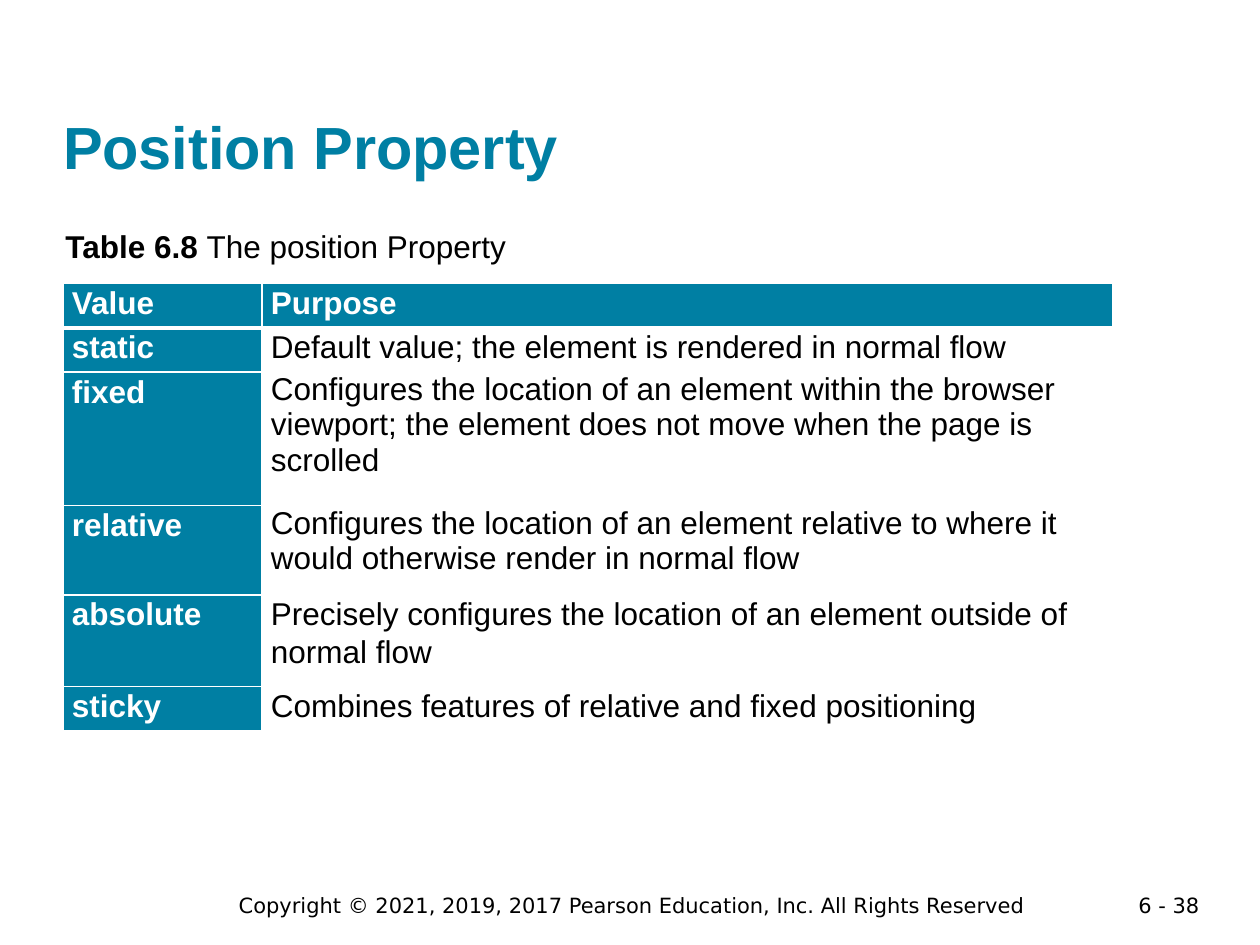
from typing import NamedTuple

from lxml.etree import SubElement
from pptx import Presentation
from pptx.dml.color import RGBColor
from pptx.enum.text import MSO_ANCHOR as Anchor, MSO_AUTO_SIZE as Fit, PP_ALIGN as Align
from pptx.oxml.ns import qn
from pptx.util import Cm, Pt

TEAL = RGBColor(0x00, 0x7F, 0xA3)
BLACK = RGBColor(0x00, 0x00, 0x00)
WHITE = RGBColor(0xFF, 0xFF, 0xFF)

HEAD = {"name": "Arial", "size": Pt(34), "bold": True}
BODY = {"name": "Arial", "size": Pt(18), "bold": False}
BOLD = BODY | {"bold": True}
FOOT = {"name": "DejaVu Sans", "size": Pt(12), "bold": False}
LOOSE = 1.07


class Note(NamedTuple):
    """A text box: place in cm, alignment and (text, format) runs."""
    box: tuple
    align: Align
    runs: list


class Row(NamedTuple):
    value: str
    purpose: str
    height: float
    spacing: float = LOOSE


NOTES = [
    Note((21.89, 17.86, 2.54, 0.56), Align.RIGHT, [("6 - 38", FOOT)]),
    Note((4.17, 17.86, 17.14, 0.76), Align.CENTER,
         [("Copyright © 2021, 2019, 2017 Pearson Education, Inc. All Rights Reserved", FOOT)]),
    Note((1.07, 4.45, 10.16, 1.02), Align.LEFT,
         [("Table 6.8 ", BOLD), ("The position Property", BODY)]),
]
ROWS = [
    Row("Value", "Purpose", 0.89),
    Row("static", "Default value; the element is rendered in normal flow", 0.89),
    Row("fixed", "Configures the location of an element within the browser viewport; "
        "the element does not move when the page is scrolled", 2.69, 1.0),
    Row("relative", "Configures the location of an element relative to where it would "
        "otherwise render in normal flow", 1.8, 1.0),
    Row("absolute", "Precisely configures the location of an element outside of normal flow", 1.85),
    Row("sticky", "Combines features of relative and fixed positioning", 0.89),
]
WIDTHS = (4.01, 17.15)


def style(font, look: dict, color: RGBColor) -> None:
    for key, val in look.items():
        setattr(font, key, val)
    font.color.rgb = color


def add_title(slide, text: str) -> None:
    title = slide.shapes.title
    title.left, title.top, title.width, title.height = map(Cm, (1.27, 0.61, 22.86, 3.05))
    frame = title.text_frame
    frame.text = text
    frame.auto_size = Fit.NONE
    frame.vertical_anchor = Anchor.BOTTOM
    frame.margin_left = frame.margin_top = frame.margin_right = frame.margin_bottom = 0
    para = frame.paragraphs[0]
    para.alignment = Align.LEFT
    style(para.runs[0].font, HEAD, TEAL)


def add_note(slide, note: Note) -> None:
    frame = slide.shapes.add_textbox(*map(Cm, note.box)).text_frame
    frame.word_wrap = True
    para = frame.paragraphs[0]
    para.alignment = note.align
    for text, look in note.runs:
        run = para.add_run()
        run.text = text
        style(run.font, look, BLACK)


def add_edges(cell, sides: dict) -> None:
    """Draw white cell borders with the given widths in points."""
    props = cell._tc.get_or_add_tcPr()
    for side, width in sides.items():
        line = SubElement(props, qn(f"a:ln{side}"), w=str(Pt(width)))
        fill = SubElement(line, qn("a:solidFill"))
        SubElement(fill, qn("a:srgbClr"), val=str(WHITE))


def fill_cell(cell, text: str, spacing: float, strong: bool, sides: dict) -> None:
    add_edges(cell, sides)
    cell.fill.solid()
    cell.fill.fore_color.rgb = TEAL if strong else WHITE
    cell.margin_left = cell.margin_right = Cm(0.18)
    cell.margin_top = cell.margin_bottom = 0
    cell.text = text
    para = cell.text_frame.paragraphs[0]
    para.line_spacing = spacing
    style(para.runs[0].font, BOLD if strong else BODY, WHITE if strong else BLACK)


def add_grid(slide, rows: list[Row]) -> None:
    size = map(Cm, (1.27, 5.72, sum(WIDTHS), sum(row.height for row in rows)))
    table = slide.shapes.add_table(len(rows), len(WIDTHS), *size).table
    for col, width in zip(table.columns, WIDTHS):
        col.width = Cm(width)
    for r, row in enumerate(rows):
        table.rows[r].height = Cm(row.height)
        sides = {"L": 1, "R": 1, "T": 3 if r == 1 else 1, "B": 3 if r == 0 else 1}
        for c, text in enumerate((row.value, row.purpose)):
            strong = r == 0 or c == 0
            spacing = LOOSE if strong else row.spacing
            fill_cell(table.cell(r, c), text, spacing, strong, sides)


def main() -> None:
    deck = Presentation()
    deck.slide_width, deck.slide_height = Cm(25.4), Cm(19.05)
    slide = deck.slides.add_slide(deck.slide_layouts[5])
    add_title(slide, "Position Property")
    for note in NOTES:
        add_note(slide, note)
    add_grid(slide, ROWS)
    deck.save("out.pptx")


if __name__ == "__main__":
    main()
